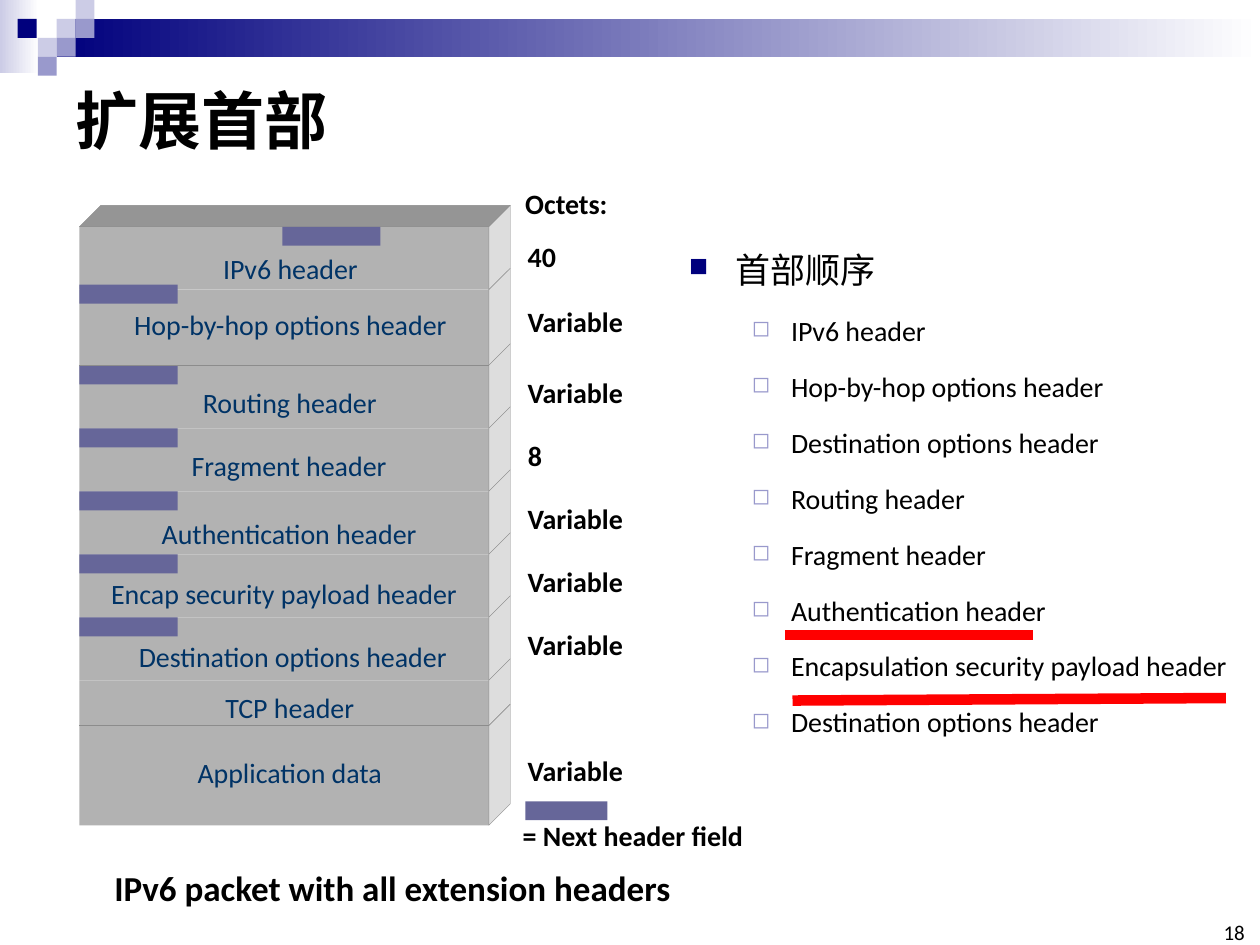
"""Build the slide on IPv6 extension headers and their order."""
from dataclasses import dataclass

from lxml import etree
from pptx import Presentation
from pptx.dml.color import RGBColor
from pptx.enum.shapes import MSO_CONNECTOR, MSO_SHAPE
from pptx.enum.text import MSO_ANCHOR, MSO_AUTO_SIZE, PP_ALIGN
from pptx.oxml.ns import qn
from pptx.util import Inches, Pt

RECTANGLE = MSO_SHAPE.RECTANGLE
STRAIGHT = MSO_CONNECTOR.STRAIGHT
LEFT, CENTER, RIGHT = PP_ALIGN.LEFT, PP_ALIGN.CENTER, PP_ALIGN.RIGHT
TOP, MIDDLE, BOTTOM = MSO_ANCHOR.TOP, MSO_ANCHOR.MIDDLE, MSO_ANCHOR.BOTTOM
GROW = MSO_AUTO_SIZE.SHAPE_TO_FIT_TEXT


@dataclass(frozen=True)
class Theme:
    font: str = "Calibri"
    navy: str = "00007D"
    lilac: str = "9999CC"
    pale: str = "CCCCE6"
    white: str = "FFFFFF"
    black: str = "000000"
    label: str = "003366"
    field: str = "666699"
    front: str = "B2B2B2"
    side: str = "DDDDDD"
    top: str = "959595"
    seam: str = "8C8C8C"
    red: str = "FF0000"
    title_size: int = 36
    heading_size: int = 20
    text_size: int = 16
    number_size: int = 12


theme = Theme()
deck = Presentation()
deck.slide_width, deck.slide_height = Inches(10), Inches(7.5)
page = deck.slides.add_slide(deck.slide_layouts[5])


def paint(shape, color, end=None):
    shape.shadow.inherit = False
    shape.line.fill.background()
    if end:
        shape.fill.gradient()
        shape.fill.gradient_angle = 0
        for stop, stop_color in zip(shape.fill.gradient_stops, (color, end)):
            stop.color.rgb = RGBColor.from_string(stop_color)
    else:
        shape.fill.solid()
        shape.fill.fore_color.rgb = RGBColor.from_string(color)


def write(box, text, size, color=theme.black, bold=False, align=LEFT):
    box.text_frame.text = text
    for para in box.text_frame.paragraphs:
        para.alignment = align
        for span in para.runs:
            span.font.name = theme.font
            span.font.size = Pt(size)
            span.font.bold = bold
            span.font.color.rgb = RGBColor.from_string(color)


banner = [
    (0, 0, 0.31, 0.58, theme.pale, theme.white),
    (0.45, 0.15, 9.55, 0.3, theme.navy, theme.white),
]
squares = [
    (0.45, 0.15, theme.pale), (0.6, 0, theme.pale), (0.6, 0.15, theme.lilac),
    (0.3, 0.3, theme.pale), (0.14, 0.15, theme.navy), (0.45, 0.3, theme.lilac),
    (0.3, 0.45, theme.lilac),
]
banner += [(left, top, 0.15, 0.15, color, None) for left, top, color in squares]
for left, top, width, height, color, end in banner:
    bar = page.shapes.add_shape(RECTANGLE, Inches(left), Inches(top), Inches(width), Inches(height))
    paint(bar, color, end)

title = page.shapes.title
title.left, title.top, title.width, title.height = Inches(0.5), Inches(0.5), Inches(9), Inches(0.89)
title.text_frame.vertical_anchor = MIDDLE
write(title, "扩展首部", theme.title_size, bold=True)

number = page.shapes.add_textbox(Inches(9.5), Inches(7.33), Inches(0.38), Inches(0.17))
frame = number.text_frame
frame.margin_left = frame.margin_top = frame.margin_right = frame.margin_bottom = 0
frame.vertical_anchor = BOTTOM
write(number, "18", theme.number_size, align=RIGHT)

order = [
    "首部顺序", "IPv6 header", "Hop-by-hop options header", "Destination options header",
    "Routing header", "Fragment header", "Authentication header",
    "Encapsulation security payload header", "Destination options header",
]
order_box = page.shapes.add_textbox(Inches(5.37), Inches(1.76), Inches(4.57), Inches(4.43))
order_box.text_frame.word_wrap = True
order_box.text_frame.vertical_anchor = TOP
write(order_box, "\n".join(order), theme.text_size)
for index, para in enumerate(order_box.text_frame.paragraphs):
    para.level = min(index, 1)
    para.line_spacing = 1.5
    para.space_before = Pt(3.2 if index else 0)
    margin, indent, bullet, color, percent = (
        (0.81, -0.31, "◻", theme.lilac, 80) if index else (0.37, -0.37, "■", theme.navy, 75)
    )
    properties = para._p.get_or_add_pPr()
    properties.set("marL", str(Inches(margin)))
    properties.set("indent", str(Inches(indent)))
    bullet_color = etree.SubElement(properties, qn("a:buClr"))
    etree.SubElement(bullet_color, qn("a:srgbClr"), val=color)
    etree.SubElement(properties, qn("a:buSzPct"), val=str(percent * 1000))
    etree.SubElement(properties, qn("a:buChar"), char=bullet)
order_box.text_frame.paragraphs[0].runs[0].font.size = Pt(theme.heading_size)

stack_left, stack_width, depth = 0.63, 3.25, 0.17
stack_right = stack_left + stack_width
edges = [1.8, 2.3, 2.9, 3.4, 3.9, 4.4, 4.9, 5.4, 5.76, 6.55]
faces = [(theme.top, [
    (stack_left, edges[0]), (stack_left + depth, edges[0] - depth),
    (stack_right + depth, edges[0] - depth), (stack_right, edges[0]),
])]
for top, bottom in zip(edges, edges[1:]):
    block = page.shapes.add_shape(
        RECTANGLE, Inches(stack_left), Inches(top), Inches(stack_width), Inches(bottom - top))
    paint(block, theme.front)
    faces.append((theme.side, [
        (stack_right, top), (stack_right + depth, top - depth),
        (stack_right + depth, bottom - depth), (stack_right, bottom),
    ]))
for color, corners in faces:
    points = [(Inches(x), Inches(y)) for x, y in corners]
    builder = page.shapes.build_freeform(*points[0])
    builder.add_line_segments(points[1:], close=True)
    face = builder.convert_to_shape()
    paint(face, color)
    face.line.color.rgb = RGBColor.from_string(theme.seam)
    face.line.width = Pt(0.25)

fields = [(stack_left, top, 0.78) for top in [2.26] + edges[2:7]]
fields += [(2.24, edges[0], 0.78), (4.17, 6.36, 0.65)]
for left, top, width in fields:
    field = page.shapes.add_shape(RECTANGLE, Inches(left), Inches(top), Inches(width), Inches(0.15))
    paint(field, theme.field)

headers = [
    ("IPv6 header", 1.66, 1.95, 1.29), ("Hop-by-hop options header", 0.38, 2.39, 3.85),
    ("Routing header", 1.5, 3.01, 1.6), ("Fragment header", 1.41, 3.51, 1.77),
    ("Authentication header", 1.17, 4.05, 2.25),
    ("Encap security payload header", 0.17, 4.53, 4.17),
    ("Destination options header", 0.16, 5.03, 4.33),
    ("TCP header", 1.68, 5.43, 1.24), ("Application data", 1.46, 5.95, 1.68),
]
octets = [("40", 4.09, 1.85, 0.43), ("8", 4.09, 3.43, 0.32)]
octets += [("Variable", 4.09, top, 0.97) for top in (2.37, 2.93, 3.93, 4.43, 4.93, 5.93)]
octets += [("Octets:", 4.07, 1.43, 0.88), ("= Next header field", 4.05, 6.45, 2.02)]
caption = ("IPv6 packet with all extension headers", 0.81, 6.83, 4.74)
label_groups = [
    (headers, theme.text_size, theme.label, False, CENTER),
    (octets, theme.text_size, theme.black, True, LEFT),
    ([caption], theme.heading_size, theme.black, True, LEFT),
]
for labels, size, color, bold, align in label_groups:
    for text, left, top, width in labels:
        height = 0.43 if size == theme.heading_size else 0.37
        box = page.shapes.add_textbox(Inches(left), Inches(top), Inches(width), Inches(height))
        box.text_frame.word_wrap = False
        box.text_frame.auto_size = GROW
        write(box, text, size, color, bold, align)

rules = [
    (stack_left, 2.9, stack_right, 2.9, theme.seam, 0.5),
    (stack_left, 5.76, stack_right, 5.76, theme.seam, 0.5),
    (1.04, 2.45, 1.04, 2.45, theme.black, 1),
    (6.23, 5.04, 8.2, 5.04, theme.red, 6),
    (6.29, 5.56, 9.73, 5.54, theme.red, 6),
]
for x1, y1, x2, y2, color, weight in rules:
    rule = page.shapes.add_connector(STRAIGHT, Inches(x1), Inches(y1), Inches(x2), Inches(y2))
    rule.line.color.rgb = RGBColor.from_string(color)
    rule.line.width = Pt(weight)
    etree.SubElement(rule._element.spPr, qn("a:effectLst"))

deck.save("out.pptx")
